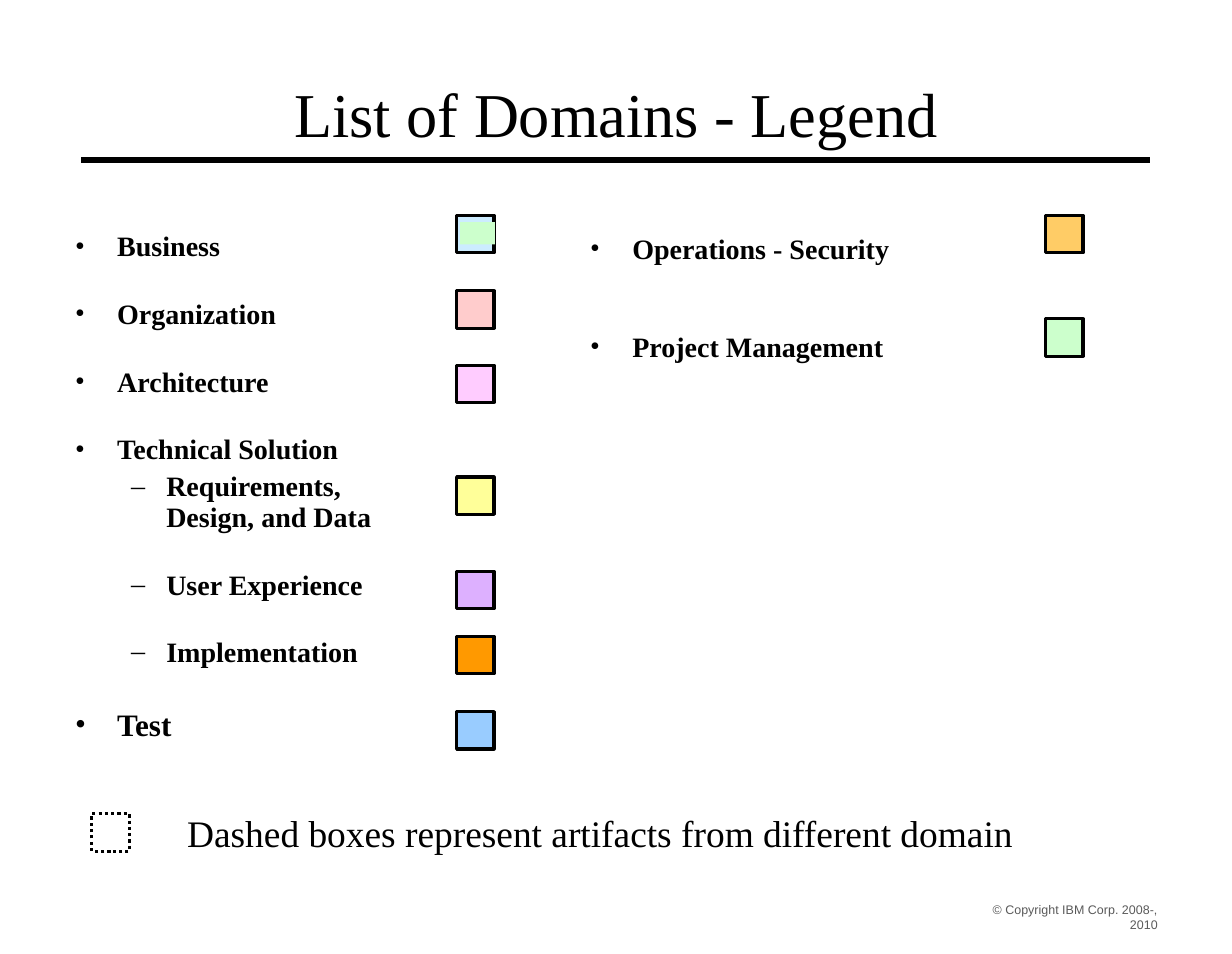
from lxml.etree import SubElement
from pptx import Presentation
from pptx.dml.color import RGBColor
from pptx.enum.dml import MSO_LINE
from pptx.enum.shapes import MSO_CONNECTOR, MSO_SHAPE
from pptx.enum.text import MSO_ANCHOR, MSO_AUTO_SIZE, PP_ALIGN
from pptx.oxml.ns import qn
from pptx.util import Pt

HUES = {
    "black": "000000", "white": "FFFFFF", "gray": "5A5A5A", "sky": "CCECFF",
    "mint": "CCFFCC", "rose": "FFCCCC", "pink": "FFCCFF", "lemon": "FFFF99",
    "violet": "DDB0FF", "orange": "FF9900", "blue": "99CCFF", "sand": "FFCC66",
}
SERIF = "Times New Roman"
SIDE = 24
LEFT, RIGHT = 293, 671

# text, level, line spacing, size
DOMAINS = [
    ("Business", 0, 1.8, 18),
    ("Organization", 0, 1.8, 18),
    ("Architecture", 0, 1.8, 18),
    ("Technical Solution", 0, 1.8, 18),
    ("Requirements, Design, and Data", 1, 0.9, 18),
    ("User Experience", 1, 1.8, 18),
    ("Implementation", 1, 1.8, 18),
    ("Test", 0, 1.8, 20),
]
OTHERS = [
    ("Operations - Security", 0, 2.7, 18),
    ("Project Management", 0, 2.7, 18),
]
# left, top, fill
KEYS = [
    (LEFT, 138.2, "sky"), (LEFT, 186.5, "rose"), (LEFT, 234.2, "pink"),
    (LEFT, 306, "lemon"), (LEFT, 366.5, "violet"), (LEFT, 408.2, "orange"),
    (LEFT, 456.5, "blue"), (RIGHT, 138.2, "sand"), (RIGHT, 204.5, "mint"),
]
# indent, hang, mark
LEVELS = [(27, 27, "•"), (58.5, 22.5, "–")]


def color(name):
    return RGBColor.from_string(HUES[name])


def write(para, text, size=18, font=SERIF, hue="black", bold=False,
          align=PP_ALIGN.LEFT):
    para.text = text
    para.alignment = align
    face = para.font
    face.size, face.name, face.bold = Pt(size), font, bold
    face.color.rgb = color(hue)


def place(shape, left, top, width, height):
    shape.left, shape.top = Pt(left), Pt(top)
    shape.width, shape.height = Pt(width), Pt(height)
    shape.text_frame.auto_size = MSO_AUTO_SIZE.NONE


def bullet(para, level):
    indent, hang, mark = LEVELS[level]
    para.level = level
    props = para._p.get_or_add_pPr()
    props.set("marL", str(Pt(indent)))
    props.set("indent", str(-Pt(hang)))
    SubElement(props, qn("a:buFont")).set("typeface", SERIF)
    SubElement(props, qn("a:buChar")).set("char", mark)


def fill_list(frame, items):
    for i, (text, level, pitch, size) in enumerate(items):
        para = frame.add_paragraph() if i else frame.paragraphs[0]
        para.line_spacing = pitch
        para.space_before = Pt(4.5 if i else 0)
        bullet(para, level)
        write(para, text, size=size, bold=True)


def add_box(slide, left, top, hue, width=SIDE, height=SIDE, line=2, dash=None):
    box = slide.shapes.add_shape(
        MSO_SHAPE.RECTANGLE, Pt(left), Pt(top), Pt(width), Pt(height))
    box.shadow.inherit = False
    box.fill.solid()
    box.fill.fore_color.rgb = color(hue)
    if not line:
        box.line.fill.background()
        return
    box.line.color.rgb = color("black")
    box.line.width = Pt(line)
    if dash:
        box.line.dash_style = dash


def add_label(slide, text, left, top, width, height, inset=True, **style):
    label = slide.shapes.add_textbox(0, 0, 0, 0)
    place(label, left, top, width, height)
    frame = label.text_frame
    frame.word_wrap = True
    if not inset:
        frame.margin_left = frame.margin_right = 0
        frame.margin_top = frame.margin_bottom = 0
    write(frame.paragraphs[0], text, **style)


def add_rule(slide, left, right, top):
    rule = slide.shapes.add_connector(
        MSO_CONNECTOR.STRAIGHT, Pt(left), Pt(top), Pt(right), Pt(top))
    rule.line.color.rgb = color("black")
    rule.line.width = Pt(4)
    SubElement(rule._element.spPr, qn("a:effectLst"))


def main():
    deck = Presentation()
    deck.slide_width, deck.slide_height = Pt(790.56), Pt(612)
    slide = deck.slides.add_slide(deck.slide_layouts[3])
    title, domains, others = slide.placeholders

    add_rule(slide, 52, 738, 102.7)
    place(title, 59, 54, 672.5, 36)
    title.text_frame.vertical_anchor = MSO_ANCHOR.MIDDLE
    write(title.text_frame.paragraphs[0], "List of Domains - Legend",
          size=40, align=PP_ALIGN.CENTER)

    place(domains, 41, 126, 240, 456)
    fill_list(domains.text_frame, DOMAINS)
    place(others, 371.5, 108, 282, 456)
    fill_list(others.text_frame, OTHERS)

    for left, top, hue in KEYS:
        add_box(slide, left, top, hue)
    add_box(slide, 295.2, 142.5, "mint", width=22.3, height=14.4, line=0)

    add_box(slide, 59, 522, "white", dash=MSO_LINE.ROUND_DOT)
    add_label(slide, "Dashed boxes represent artifacts from different domain",
              113, 516.2, 560, 36, size=24)
    add_label(slide, "© Copyright IBM Corp. 2008-, 2010", 620.6, 578.5, 122.4,
              20, inset=False, size=8, font="Arial", hue="gray",
              align=PP_ALIGN.RIGHT)
    deck.save("out.pptx")


if __name__ == "__main__":
    main()
